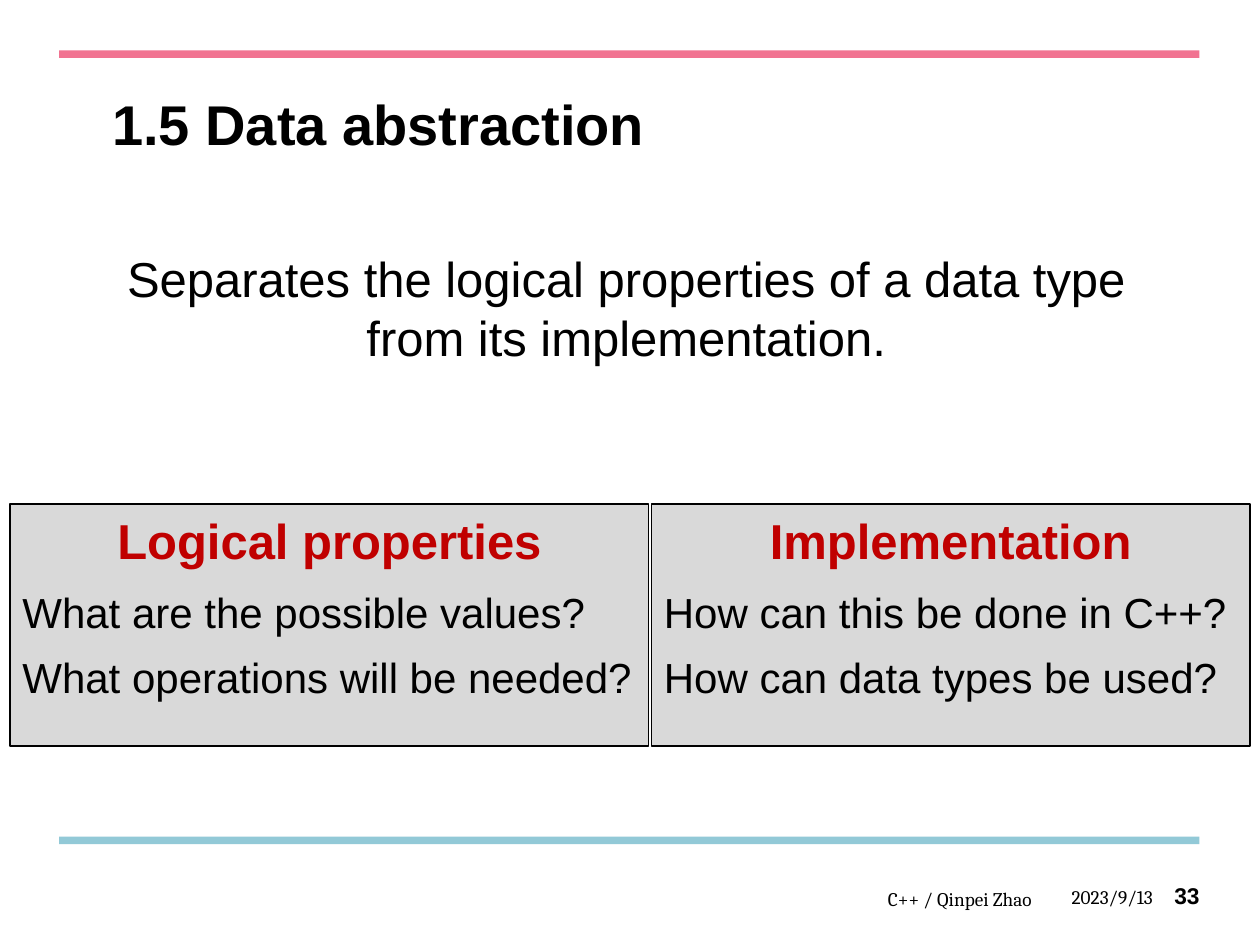
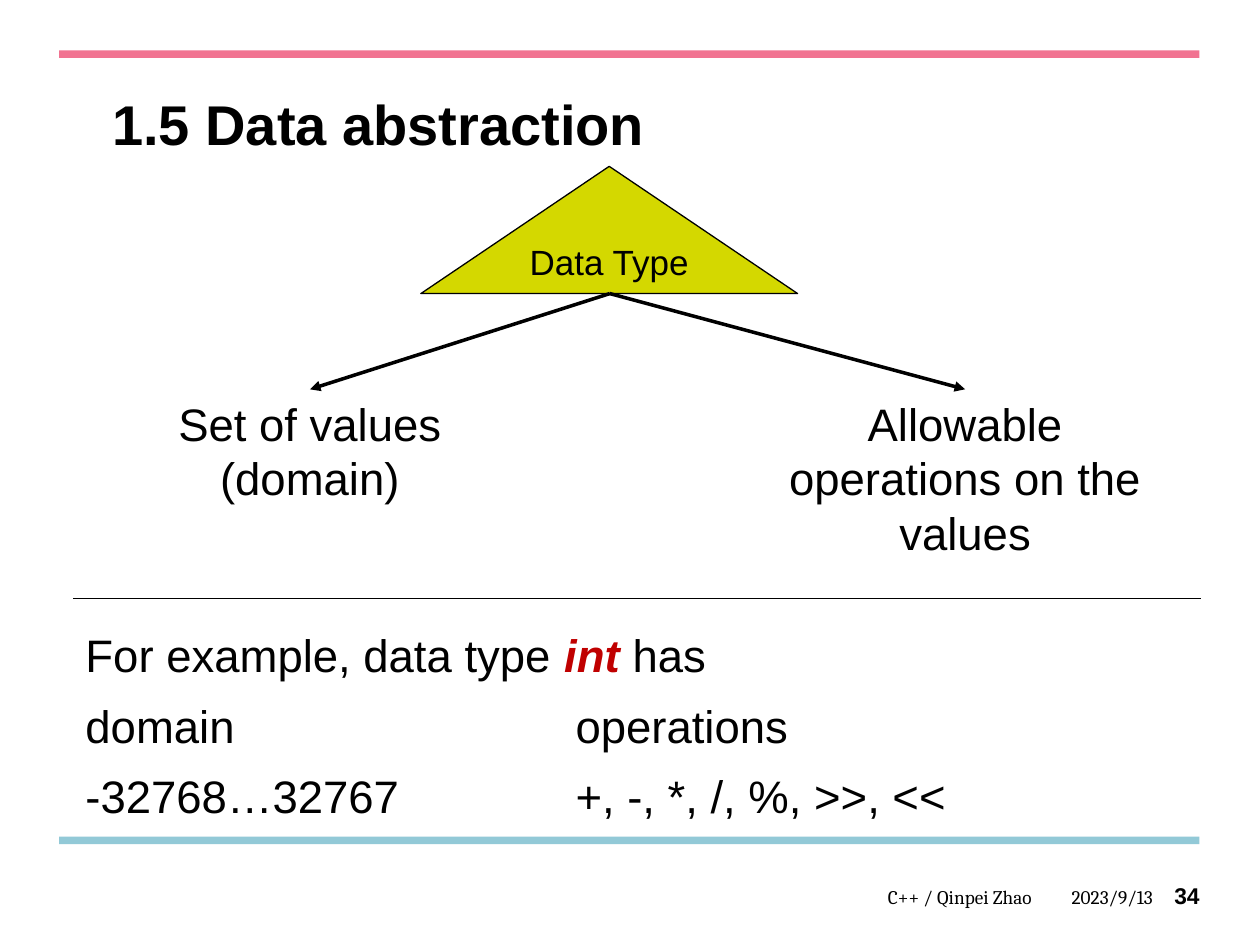
from dataclasses import dataclass
from lxml.etree import SubElement
from pptx import Presentation
from pptx.dml.color import RGBColor as Rgb
from pptx.enum.shapes import MSO_CONNECTOR as Link, MSO_SHAPE as Form
from pptx.enum.text import MSO_ANCHOR as Anchor, MSO_AUTO_SIZE as Fit, PP_ALIGN as Align
from pptx.oxml.ns import qn
from pptx.util import Inches, Pt


@dataclass(frozen=True)
class Theme:
    ink: str = "000000"
    red: str = "C00000"
    gray: str = "D9D9D9"
    lime: str = "D4D800"
    pink: str = "F17391"
    blue: str = "92C9D7"
    sans: str = "Arial"
    serif: str = "Cambria"
    title: int = 32
    head: int = 28
    prose: int = 26
    item: int = 24
    label: int = 20
    page: int = 13
    foot: int = 11
    thin: float = 0.75
    thick: float = 2
    gap: float = 0.35


T = Theme()
PAD = (0.1, 0.05, 0.1, 0.05)
BARE = (0, 0, 0, 0)


def place(shape, spot):
    shape.left, shape.top, shape.width, shape.height = map(Inches, spot)


def frame(shape, pad=PAD, anchor=Anchor.TOP, wrap=True):
    body = shape.text_frame
    body.word_wrap = wrap
    body.auto_size = Fit.NONE
    body.vertical_anchor = anchor
    sides = map(Inches, pad)
    body.margin_left, body.margin_top, body.margin_right, body.margin_bottom = sides
    return body


def style(run, size, color=T.ink, bold=False, face=T.sans, slant=False):
    font = run.font
    font.size, font.name = Pt(size), face
    font.bold, font.italic = bold, slant
    font.color.rgb = Rgb.from_string(color)


def format_line(line, size, align=Align.LEFT, gap=T.gap, **look):
    line.alignment = align
    line.space_before, line.space_after = Pt(0), Pt(size * gap)
    for run in line.runs:
        style(run, size, **look)


def paint(shape, fill, edge=None):
    shape.shadow.inherit = False
    shape.fill.solid()
    shape.fill.fore_color.rgb = Rgb.from_string(fill)
    if edge:
        shape.line.color.rgb = Rgb.from_string(edge)
        shape.line.width = Pt(T.thin)
    else:
        shape.line.fill.background()


def add_form(slide, form, spot, fill, edge=None):
    shape = slide.shapes.add_shape(form, *map(Inches, spot))
    paint(shape, fill, edge)
    return shape


def add_text(slide, spot, text, size, pad=PAD, anchor=Anchor.TOP, **look):
    box = slide.shapes.add_textbox(*map(Inches, spot))
    body = frame(box, pad, anchor)
    body.text = text
    for line in body.paragraphs:
        format_line(line, size, **look)
    return box


def add_line(slide, start, end, width, arrow=False):
    line = slide.shapes.add_connector(Link.STRAIGHT, *map(Inches, start + end))
    line.line.color.rgb = Rgb.from_string(T.ink)
    line.line.width = Pt(width)
    props = line.element.spPr
    if arrow:
        SubElement(props.find(qn("a:ln")), qn("a:tailEnd"), type="triangle")
    SubElement(props, qn("a:effectLst"))
    return line


def fill_title(slide, text):
    title = slide.shapes.title
    place(title, (0.79, 0.72, 8.74, 1.1))
    body = frame(title)
    body.text = text
    line = body.paragraphs[0]
    format_line(line, T.title, gap=0, bold=True)
    line.line_spacing = Pt(34)


def fill_body(slide, spot, text, size):
    holder = slide.placeholders[1]
    place(holder, spot)
    body = frame(holder)
    body.text = text
    for line in body.paragraphs:
        format_line(line, size, Align.CENTER)
        props = line._p.get_or_add_pPr()
        props.set("marL", "0")
        props.set("indent", "0")
        SubElement(props, qn("a:buNone"))
    return holder


def add_foot(slide, page, top=6.98):
    for spot, text in (((3.34, top, 4.85, 0.27), "C++ / Qinpei Zhao"),
                       ((8.19, 6.98, 0.96, 0.27), "2023/9/13")):
        add_text(slide, spot, text, T.foot, BARE, Anchor.MIDDLE,
                 align=Align.RIGHT, gap=0, face=T.serif)
    add_text(slide, (9.13, 6.98, 0.39, 0.27), str(page), T.page, (0, 0.02, 0, 0),
             align=Align.RIGHT, gap=0, bold=True)


def add_bands(deck, slide):
    tree = deck.slide_master.shapes.element
    for num, (top, color) in enumerate(((6.64, T.blue), (0.4, T.pink)), 50):
        band = add_form(slide, Form.RECTANGLE, (0.47, top, 9.05, 0.06), color)
        band.element.nvSpPr.cNvPr.set("id", str(num))
        tree.append(band.element)


def add_panel(slide, left, width, head, items):
    spot = (left, 4, width, 1.92)
    panel = add_form(slide, Form.RECTANGLE, spot, T.gray, T.ink)
    body = frame(panel)
    body.text = "\n".join((head, *items))
    first, *rest = body.paragraphs
    format_line(first, T.head, Align.CENTER, color=T.red, bold=True)
    for line in rest:
        format_line(line, T.item)


def add_sample(slide):
    rows = ("For example, data type ", "domain\toperations",
            "-32768…32767\t+, -, *, /, %, >>, <<")
    box = add_text(slide, (0.58, 4.93, 8.94, 1.9), "\n".join(rows), T.prose)
    intro, *pairs = box.text_frame.paragraphs
    for text, look in (("int ", {"color": T.red, "bold": True, "slant": True}),
                       ("has", {})):
        run = intro.add_run()
        run.text = text
        style(run, T.prose, **look)
    for line in pairs:
        tabs = SubElement(line._p.get_or_add_pPr(), qn("a:tabLst"))
        SubElement(tabs, qn("a:tab"), pos=str(Inches(3.89)), algn="l")


def add_slide(deck):
    slide = deck.slides.add_slide(deck.slide_layouts[1])
    fill_title(slide, "1.5 Data abstraction")
    return slide


def build_split(slide):
    fill_body(slide, (0.61, 1.92, 8.72, 1.42),
              "Separates the logical properties of a data type from its implementation.",
              T.head)
    add_panel(slide, 0.08, 5.07, "Logical properties",
              ("What are the possible values?", "What operations will be needed?"))
    add_panel(slide, 5.17, 4.75, "Implementation",
              ("How can this be done in C++?", "How can data types be used?"))
    add_foot(slide, 33, 7)


def build_type(slide):
    values = fill_body(slide, (0.79, 3.09, 3.34, 1.08), "Set of values (domain)", T.prose)
    root = add_form(slide, Form.ISOSCELES_TRIANGLE, (3.34, 1.32, 2.99, 1.01),
                    T.lime, T.ink)
    body = frame(root, BARE, Anchor.MIDDLE, wrap=False)
    body.text = "Data Type"
    format_line(body.paragraphs[0], T.label, Align.CENTER, gap=0)
    actions = add_text(slide, (5.99, 3.09, 3.34, 1.08),
                       "Allowable operations on the values", T.prose, align=Align.CENTER)
    for goal, mid in ((values, 2.46), (actions, 7.66)):
        arrow = add_line(slide, (4.84, 2.33), (mid, 3.09), T.thick, arrow=True)
        arrow.end_connect(goal, 0)
    add_line(slide, (0.58, 4.75), (9.53, 4.75), T.thin)
    add_sample(slide)
    add_foot(slide, 34)


def main():
    deck = Presentation()
    deck.slide_width, deck.slide_height = Inches(10), Inches(7.5)
    split = add_slide(deck)
    add_bands(deck, split)
    build_split(split)
    build_type(add_slide(deck))
    deck.save("out.pptx")


if __name__ == "__main__":
    main()
